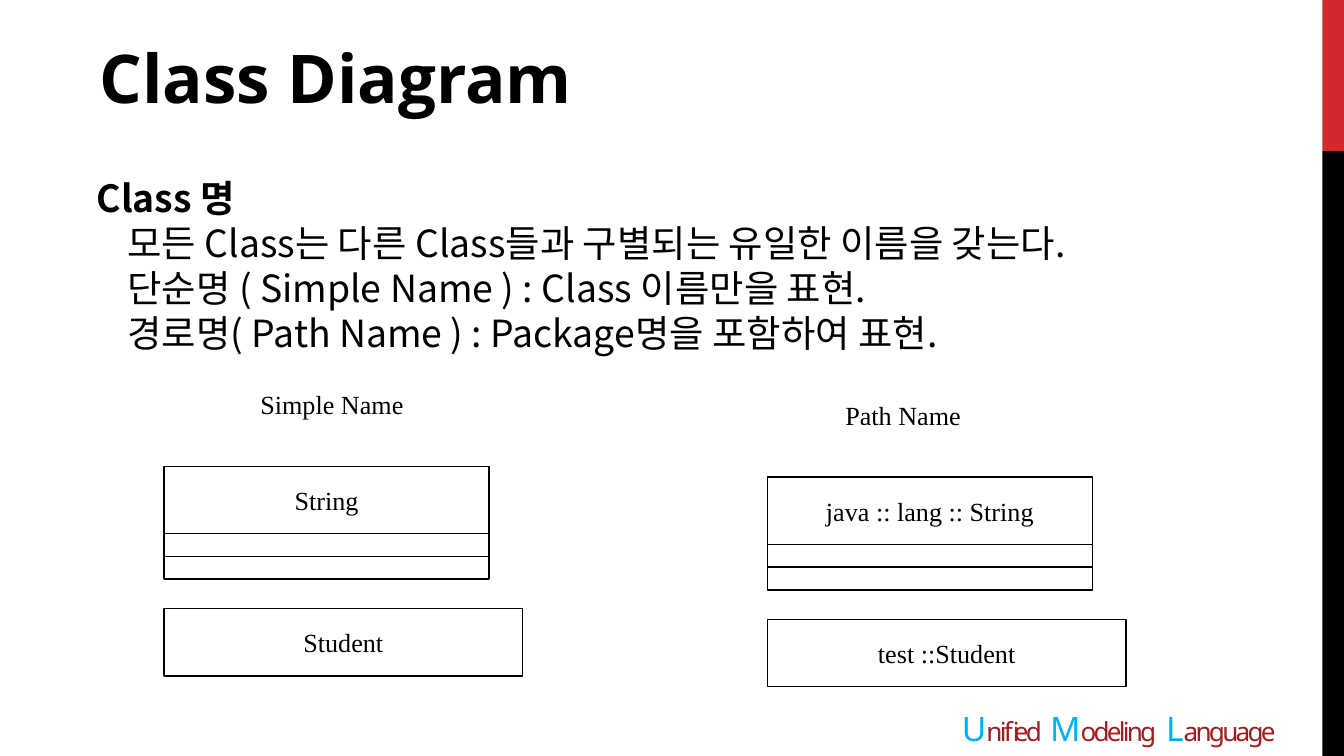
from pptx import Presentation
from pptx.dml.color import RGBColor
from pptx.enum.shapes import MSO_SHAPE
from pptx.enum.text import MSO_ANCHOR, PP_ALIGN
from pptx.oxml.ns import qn
from pptx.util import Inches, Pt
from lxml import etree

THEME = {
    "black": "000000", "red": "D1282E", "blue": "00B0F0", "maroon": "9D1E22",
    "title": 36, "body": 20, "label": 14, "initial": 18, "space": 20,
    "title_font": "Open Sans", "body_font": "Noto Sans CJK KR",
    "footer_font": "Noto Sans", "label_font": "Times New Roman",
}


def style(r, font, size, color="black", bold=False):
    r.font.name = THEME[font]
    r.font.size = Pt(THEME[size])
    r.font.bold = bold
    r.font.color.rgb = RGBColor.from_string(THEME[color])


def add_label(sp, text):
    tf = sp.text_frame
    tf.word_wrap = False
    tf.margin_left = tf.margin_right = 0
    tf.vertical_anchor = MSO_ANCHOR.MIDDLE
    p = tf.paragraphs[0]
    p.text = text
    p.alignment = PP_ALIGN.CENTER
    for r in p.runs:
        style(r, "label_font", "label")


prs = Presentation()
prs.slide_width = Inches(10)
prs.slide_height = prs.slide_width * 9 // 16
s = prs.slides.add_slide(prs.slide_layouts[6])

red_height = prs.slide_height // 5
for top, height, color in [(0, red_height, "red"),
                           (red_height, prs.slide_height - red_height, "black")]:
    sp = s.shapes.add_shape(MSO_SHAPE.RECTANGLE, Inches(9.84), top, Inches(0.16), height)
    sp.shadow.inherit = False
    sp.fill.solid()
    sp.fill.fore_color.rgb = RGBColor.from_string(THEME[color])
    sp.line.fill.background()

footer = s.shapes.add_textbox(Inches(6.41), Inches(5.31), Inches(3.83), Inches(0.31))
tf = footer.text_frame
tf.word_wrap = True
tf.vertical_anchor = MSO_ANCHOR.BOTTOM
p = tf.paragraphs[0]
p.alignment = PP_ALIGN.CENTER
for text, size, color in [("U", "initial", "blue"), ("nified  ", "label", "maroon"),
                          ("M", "initial", "blue"), ("odeling", "label", "maroon"),
                          (" ", "space", "maroon"),
                          ("L", "initial", "blue"), ("anguage", "label", "maroon")]:
    r = p.add_run()
    r.text = text
    style(r, "footer_font", size, color)
    r.font._element.set("spc", "-150")

title = s.shapes.add_textbox(Inches(0.64), Inches(0.22), Inches(4), Inches(0.71))
title.text_frame.word_wrap = False
title.text_frame.text = "Class Diagram"
style(title.text_frame.paragraphs[0].runs[0], "title_font", "title", bold=True)

body = s.shapes.add_textbox(Inches(0.62), Inches(1.09), Inches(8.67), Inches(1.62))
tf = body.text_frame
tf.word_wrap = True
tf.text = "\n".join([
    "Class 명",
    "모든 Class는 다른 Class들과 구별되는 유일한 이름을 갖는다.",
    "단순명 ( Simple Name ) : Class 이름만을 표현.",
    "경로명( Path Name ) : Package명을 포함하여 표현.",
])
for i, p in enumerate(tf.paragraphs):
    heading = i == 0
    p.line_spacing = Pt(36 if heading else 24)
    if not heading:
        p._p.get_or_add_pPr().set("marL", str(Inches(0.23)))
    for r in p.runs:
        style(r, "body_font", "body", bold=heading)
        ea = etree.SubElement(r.font._element, qn("a:ea"))
        ea.set("typeface", THEME["body_font"])

for left, top, label_left, heading, class_name, short_box in [
    (1.22, 2.84, 1.93, "Simple Name", "String", "Student"),
    (5.71, 2.92, 6.18, "Path Name", "java :: lang :: String", "test ::Student"),
]:
    sp = s.shapes.add_textbox(Inches(label_left), Inches(top), Inches(1.08), Inches(0.33))
    add_label(sp, heading)
    group = s.shapes.add_group_shape()
    for shapes, offset, width, height, text in [
        (group.shapes, 0.63, 2.42, 0.5, class_name),
        (group.shapes, 1.13, 2.42, 0.17, ""),
        (group.shapes, 1.3, 2.42, 0.17, ""),
        (s.shapes, 1.69, 2.67, 0.5, short_box),
    ]:
        sp = shapes.add_shape(MSO_SHAPE.RECTANGLE, Inches(left), Inches(top + offset),
                              Inches(width), Inches(height))
        sp.shadow.inherit = False
        sp.fill.background()
        sp.line.color.rgb = RGBColor.from_string(THEME["black"])
        sp.line.width = Pt(0.75)
        if text:
            add_label(sp, text)

prs.save("out.pptx")
